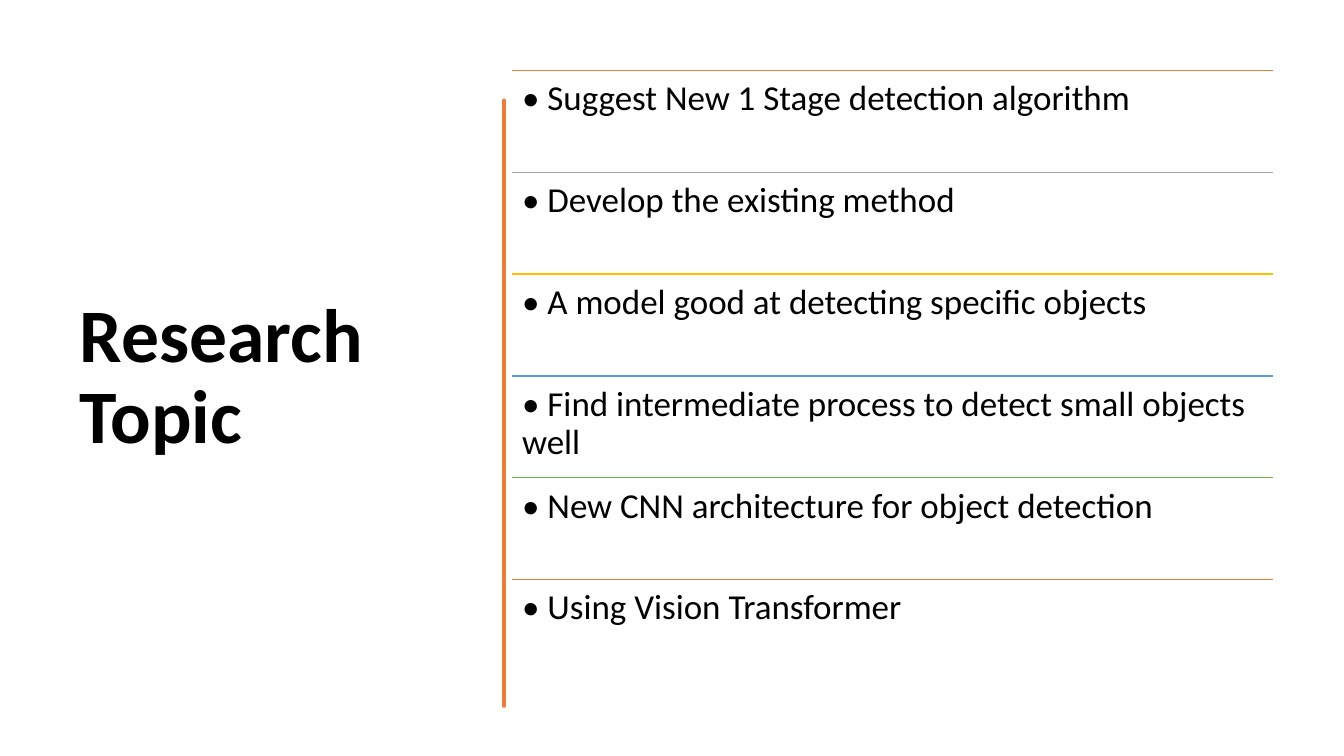
from dataclasses import dataclass

from lxml import etree
from pptx import Presentation
from pptx import util as u
from pptx.dml.color import RGBColor
from pptx.enum import shapes, text
from pptx.oxml import ns


@dataclass(frozen=True)
class Theme:
    font: str = "Calibri"
    ink: str = "000000"
    brush: str = "ED7D31"
    rules: tuple = ("ED7D31", "A5A5A5", "FFC000", "5B9BD5", "70AD47")
    title_size: float = 54
    topic_size: float = 25
    rule_width: float = 1
    brush_width: float = 3.25


THEME = Theme()
WIDTH, HEIGHT = 13.33, 7.5
LIST_LEFT, LIST_TOP, LIST_WIDTH, ROW_HEIGHT = 5.08, 0.7, 7.55, 1.01
BRUSH_TOP, BRUSH_BOTTOM = 0.84, 6.76
BRUSH_RIGHT, BRUSH_LEFT = 4.75, 4.73
CURVE_STEPS = 8

TOPICS = (
    "Suggest New 1 Stage detection algorithm",
    "Develop the existing method",
    "A model good at detecting specific objects",
    "Find intermediate process to detect small objects well",
    "New CNN architecture for object detection",
    "Using Vision Transformer",
)

RIGHT_EDGE = (
    (4.77, 1.02, 4.77, 1.19, 1.46),
    (4.73, 1.73, 4.76, 1.95, 2.26),
    (4.74, 2.57, 4.75, 2.62, 2.94),
    (4.74, 3.25, 4.77, 3.42, 3.56),
    (4.73, 3.7, 4.79, 4.14, 4.36),
    (4.71, 4.57, 4.72, 4.84, 5.1),
    (4.77, 5.36, 4.77, 5.64, 5.84),
    (4.73, 6.03, 4.76, 6.5, BRUSH_BOTTOM),
)
LEFT_EDGE = (
    (4.74, 6.46, 4.71, 6.44, 6.13),
    (4.74, 5.83, 4.74, 5.7, 5.57),
    (4.72, 5.44, 4.72, 4.95, 4.77),
    (4.73, 4.59, 4.71, 4.45, 4.15),
    (4.74, 3.86, 4.72, 3.73, 3.35),
    (4.74, 2.98, 4.72, 2.81, 2.5),
    (4.74, 2.18, 4.75, 2, 1.81),
    (4.7, 1.63, 4.77, 1.04, BRUSH_TOP),
)


def color(value):
    return RGBColor.from_string(value)


def write_text(shape, content, size, bold=False, anchor=text.MSO_ANCHOR.TOP, inset=0.1):
    frame = shape.text_frame
    frame.word_wrap = True
    frame.auto_size = text.MSO_AUTO_SIZE.NONE
    frame.vertical_anchor = anchor
    frame.margin_left = frame.margin_right = u.Inches(0.1)
    frame.margin_top = frame.margin_bottom = u.Inches(inset)
    paragraph = frame.paragraphs[0]
    paragraph.alignment = text.PP_ALIGN.LEFT
    paragraph.line_spacing = 0.9
    run = paragraph.add_run()
    run.text = content
    run.font.name = THEME.font
    run.font.size = u.Pt(size)
    run.font.bold = bold
    run.font.color.rgb = color(THEME.ink)


def add_title(slide, content):
    title = slide.shapes.title
    title.left, title.top = u.Inches(0.69), u.Inches(0.7)
    title.width, title.height = u.Inches(3.74), u.Inches(6.11)
    write_text(title, content, THEME.title_size, bold=True,
               anchor=text.MSO_ANCHOR.MIDDLE, inset=0.05)


def edge_points(x, y, segments):
    points = []
    for x1, y1, x2, y2, end in segments:
        for step in range(1, CURVE_STEPS + 1):
            t = step / CURVE_STEPS
            a, b, c, d = (1 - t) ** 3, 3 * t * (1 - t) ** 2, 3 * t * t * (1 - t), t ** 3
            points.append((a * x + b * x1 + c * x2 + d * x,
                           a * y + b * y1 + c * y2 + d * end))
        y = end
    return points


def add_brush_stroke(slide):
    points = edge_points(BRUSH_RIGHT, BRUSH_TOP, RIGHT_EDGE)
    points.append((BRUSH_LEFT, BRUSH_BOTTOM))
    points += edge_points(BRUSH_LEFT, BRUSH_BOTTOM, LEFT_EDGE)
    builder = slide.shapes.build_freeform(BRUSH_RIGHT, BRUSH_TOP, scale=u.Inches(1))
    builder.add_line_segments(points, close=True)
    stroke = builder.convert_to_shape()
    stroke.shadow.inherit = False
    stroke.fill.solid()
    stroke.fill.fore_color.rgb = color(THEME.brush)
    stroke.line.color.rgb = color(THEME.brush)
    stroke.line.width = u.Pt(THEME.brush_width)
    etree.SubElement(stroke.line._get_or_add_ln(), ns.qn("a:round"))


def add_rule(slide, top, line_color):
    left, right = u.Inches(LIST_LEFT), u.Inches(LIST_LEFT + LIST_WIDTH)
    rule = slide.shapes.add_connector(
        shapes.MSO_CONNECTOR.STRAIGHT, left, top, right, top)
    rule.line.color.rgb = color(line_color)
    rule.line.width = u.Pt(THEME.rule_width)
    etree.SubElement(rule._element.spPr, ns.qn("a:effectLst"))


def add_topic(slide, row, content):
    top = u.Inches(LIST_TOP + row * ROW_HEIGHT)
    add_rule(slide, top, THEME.rules[row % len(THEME.rules)])
    box = slide.shapes.add_textbox(
        u.Inches(LIST_LEFT), top, u.Inches(LIST_WIDTH), u.Inches(ROW_HEIGHT))
    write_text(box, f"• {content}", THEME.topic_size)


def main():
    presentation = Presentation()
    presentation.slide_width = u.Inches(WIDTH)
    presentation.slide_height = u.Inches(HEIGHT)
    slide = presentation.slides.add_slide(
        presentation.slide_layouts.get_by_name("Title Only"))
    add_title(slide, "Research Topic")
    add_brush_stroke(slide)
    for row, topic in enumerate(TOPICS):
        add_topic(slide, row, topic)
    presentation.save("out.pptx")


main()
